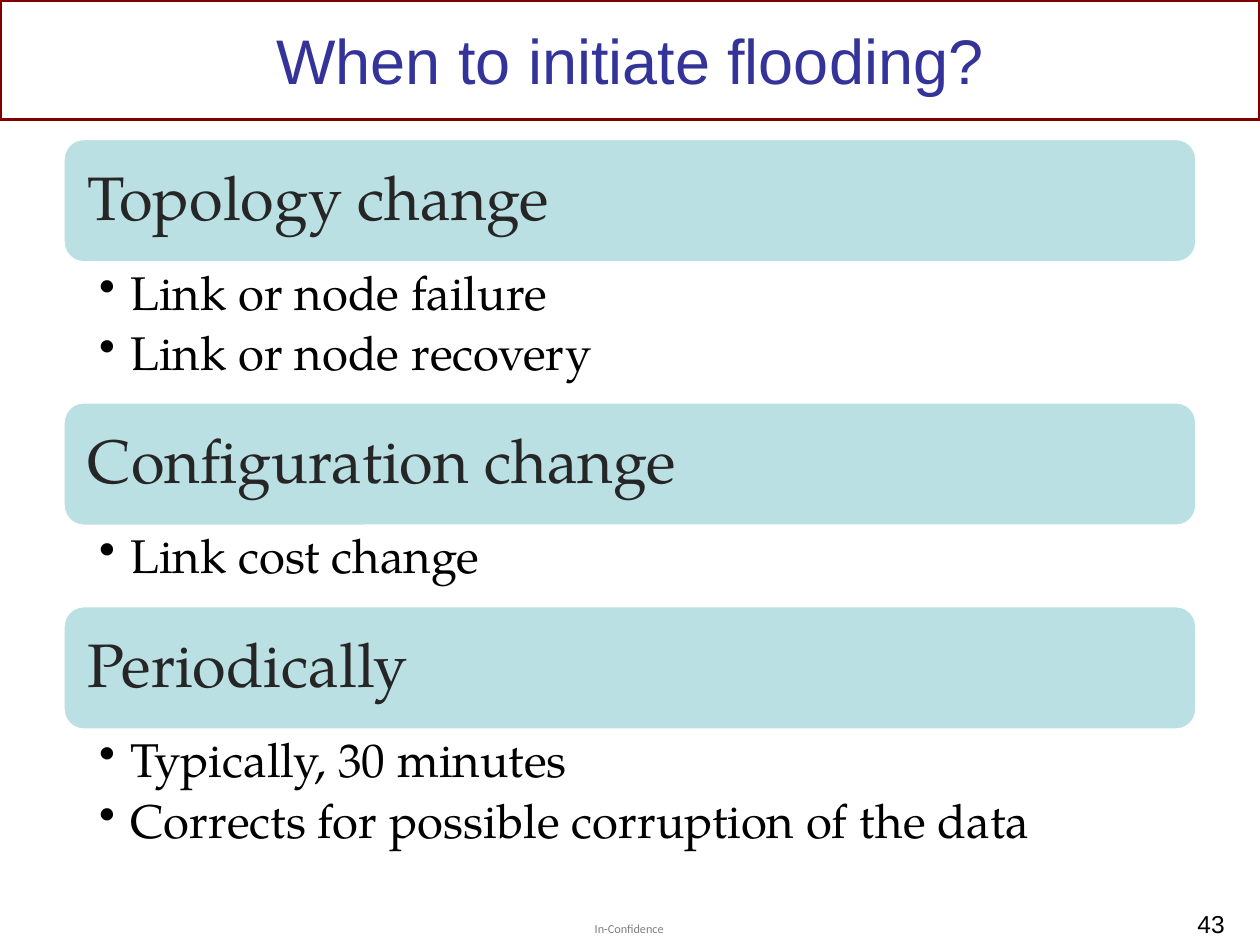
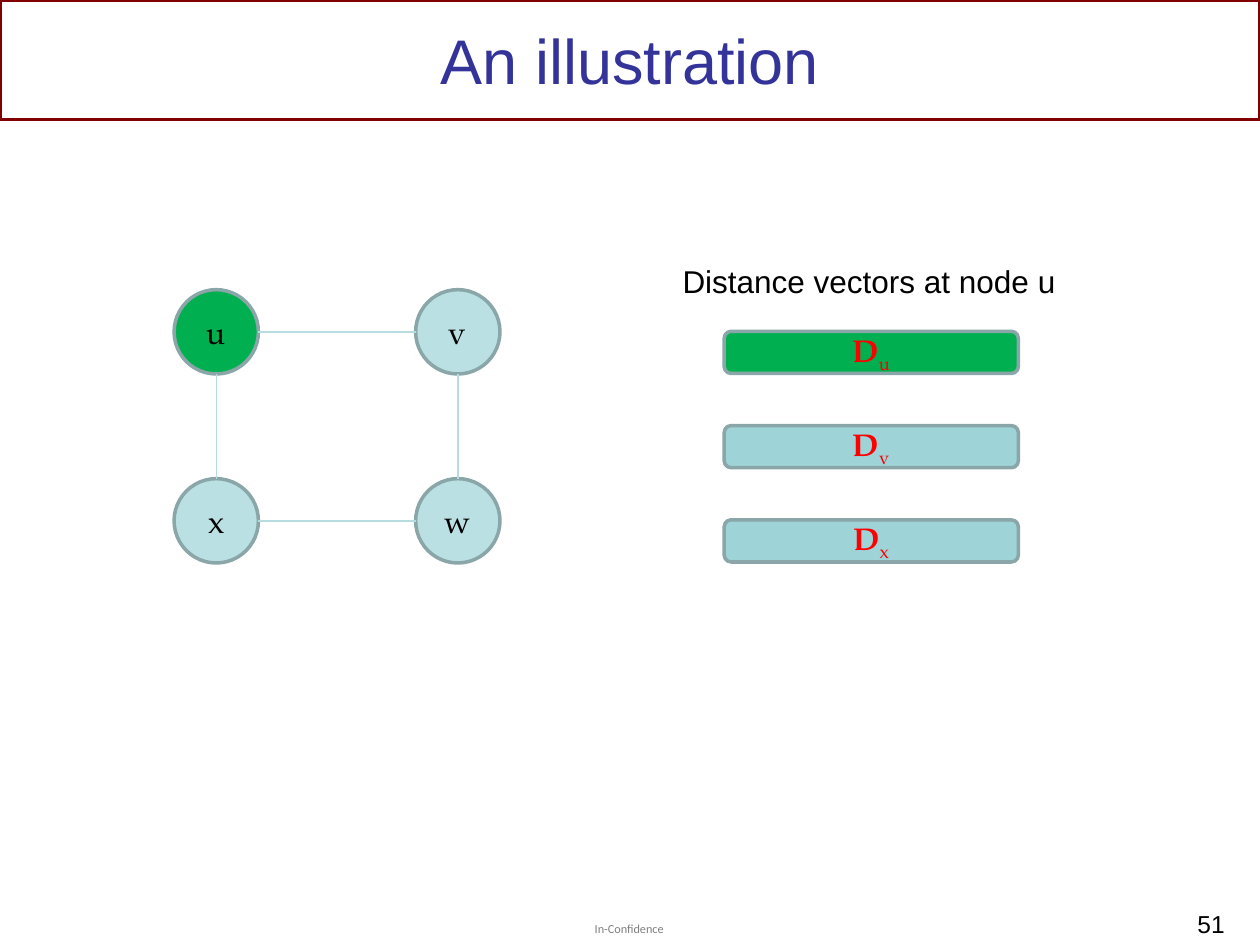
from itertools import product

from pptx import Presentation
from pptx.dml.color import RGBColor as Rgb
from pptx.enum.shapes import MSO_CONNECTOR as Link, MSO_SHAPE as Kind
from pptx.enum.text import MSO_ANCHOR as Anchor, PP_ALIGN as Align
from pptx.oxml.ns import qn
from pptx.util import Cm, Pt

HUES = {
    "frame": "800000", "title": "333399", "ink": "000000", "head": "262626",
    "foot": "808080", "pale": "BBE0E3", "teal": "9ED3D7", "green": "00B050",
    "edge": "8AA6A8", "link": "B6DCDF", "white": "FFFFFF", "red": "FF0000",
}
SANS, SERIF = "Arial", "TeX Gyre Pagella"
WIDE, HIGH = 25.4, 19.05


def hue(name):
    return Rgb.from_string(HUES[name])


def style(font, size, color="ink", face=SERIF):
    font.name, font.size = face, Pt(size)
    font.color.rgb = hue(color)


def inset(frame, left, top, right, bottom):
    frame.margin_left, frame.margin_top = Cm(left), Cm(top)
    frame.margin_right, frame.margin_bottom = Cm(right), Cm(bottom)


def add_form(slide, kind, box, fill, line):
    form = slide.shapes.add_shape(kind, *map(Cm, box))
    form.shadow.inherit = False
    if fill:
        form.fill.solid()
        form.fill.fore_color.rgb = hue(fill)
    else:
        form.fill.background()
    form.line.color.rgb = hue(line)
    form.line.width = Pt(2)
    form.text_frame.vertical_anchor = Anchor.MIDDLE
    return form


def add_text(slide, box, text, size, color="ink", face=SANS,
             align=Align.LEFT, wrap=True):
    frame = slide.shapes.add_textbox(*map(Cm, box)).text_frame
    frame.word_wrap = wrap
    frame.text = text
    for para in frame.paragraphs:
        para.alignment = align
        style(para.font, size, color, face)
    return frame


def add_page(deck, title, number):
    """Add a slide with the shared frame, title, footer and number."""
    slide = deck.slides.add_slide(deck.slide_layouts[5])
    add_form(slide, Kind.RECTANGLE, (0, 0, WIDE, 2.41), None, "frame")
    head = slide.shapes.title
    head.left, head.top, head.width, head.height = map(Cm, (1.27, 0.2, 22.86, 2))
    head.text_frame.text = title
    head.text_frame.vertical_anchor = Anchor.MIDDLE
    style(head.text_frame.paragraphs[0].font, 36, "title", SANS)
    foot = add_text(slide, (11.99, 18.57, 1.45, 0.3), "In-Confidence", 7,
                    "foot", "Calibri", wrap=False)
    inset(foot, 0, 0, 0, 0)
    add_text(slide, (19.35, 18.21, 5.59, 0.76), str(number), 14,
             align=Align.RIGHT)
    return slide


def add_band(slide, box, text):
    band = add_form(slide, Kind.ROUNDED_RECTANGLE, box, "pale", "white")
    frame = band.text_frame
    inset(frame, 0.38, 0.38, 0.38, 0.38)
    frame.text = text
    para = frame.paragraphs[0]
    para.alignment, para.line_spacing = Align.LEFT, 0.9
    style(para.font, 35, "head")


def add_list(slide, box, items):
    frame = add_text(slide, box, "\n".join(items), 27, face=SERIF)
    inset(frame, 0.73, 0.13, 0.69, 0.13)
    for para in frame.paragraphs:
        para.line_spacing, para.space_after = 0.9, Pt(5.4)
        props = para._p.get_or_add_pPr()
        props.set("marL", str(Cm(0.63)))
        props.set("indent", str(Cm(-0.63)))
        mark = props.makeelement(qn("a:buChar"), {"char": "•"})
        props.insert_element_before(mark, "a:tabLst", "a:defRPr", "a:extLst")


def add_link(slide, start, end):
    link = slide.shapes.add_connector(Link.STRAIGHT, *map(Cm, start + end))
    link.line.color.rgb = hue("link")
    link.line.width = Pt(0.75)
    props = link._element.spPr
    props.append(props.makeelement(qn("a:effectLst"), {}))


def add_node(slide, box, name, fill):
    node = add_form(slide, Kind.OVAL, box, fill, "edge")
    node.text_frame.text = name
    para = node.text_frame.paragraphs[0]
    para.alignment = Align.CENTER
    style(para.font, 18)


def add_vector(slide, box, name, fill):
    """Add a bar labelled D with the node name as subscript."""
    bar = add_form(slide, Kind.ROUNDED_RECTANGLE, box, fill, "edge")
    para = bar.text_frame.paragraphs[0]
    para.alignment = Align.CENTER
    for text in ("D", name):
        run = para.add_run()
        run.text = text
        style(run.font, 18, "red")
        run.font.bold = text == "D"
    run._r.get_or_add_rPr().set("baseline", "-25000")


def add_causes(slide, causes):
    """Stack a band and its list for each cause."""
    top, band = 2.79, 2.51
    for head, items in causes.items():
        add_band(slide, (1.27, top, 22.86, band), head)
        top += band
        tall = 0.4 + 1.2 * len(items)
        add_list(slide, (1.27, top, 22.86, tall), items)
        top += tall


def add_graph(slide):
    """Draw four nodes in a square, joined along its sides."""
    size, cols, rows = 1.7, (3.51, 8.38), (5.84, 9.65)
    mid = size / 2
    for name, (top, left) in zip("uvxw", product(rows, cols)):
        fill = "green" if name == "u" else "pale"
        add_node(slide, (left, top, size, size), name, fill)
    for top in rows:
        add_link(slide, (cols[0] + size, top + mid), (cols[1], top + mid))
    for left in cols:
        add_link(slide, (left + mid, rows[0] + size), (left + mid, rows[1]))


def main():
    deck = Presentation()
    deck.slide_width, deck.slide_height = Cm(WIDE), Cm(HIGH)

    slide = add_page(deck, "When to initiate flooding?", 43)
    add_causes(slide, {
        "Topology change": ["Link or node failure", "Link or node recovery"],
        "Configuration change": ["Link cost change"],
        "Periodically": ["Typically, 30 minutes",
                         "Corrects for possible corruption of the data"],
    })

    slide = add_page(deck, "An illustration", 51)
    add_graph(slide)
    for row, name in enumerate("uvx"):
        fill = "green" if name == "u" else "teal"
        add_vector(slide, (14.6, 6.68 + 1.9 * row, 5.93, 0.85), name, fill)
    add_text(slide, (13.51, 5.16, 8.1, 1.02), "Distance vectors at node u", 18,
             wrap=False)

    deck.save("out.pptx")


if __name__ == "__main__":
    main()
